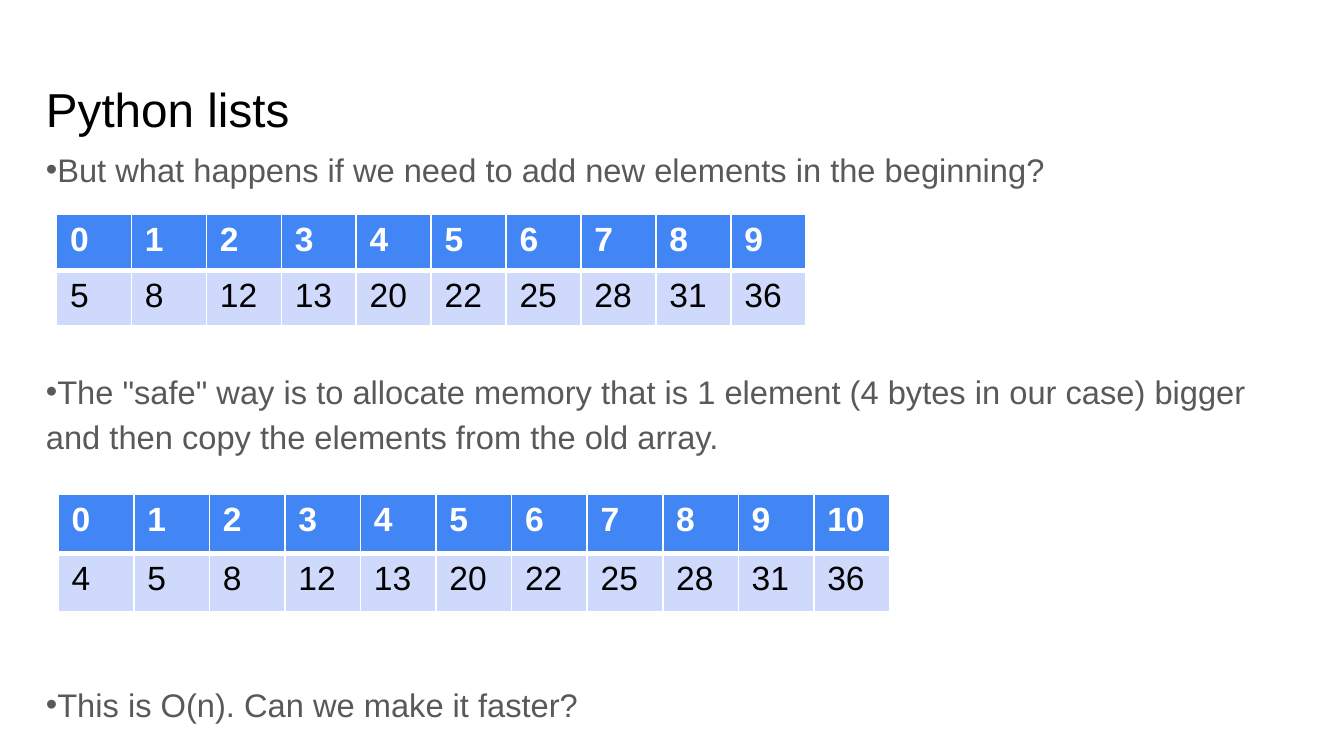
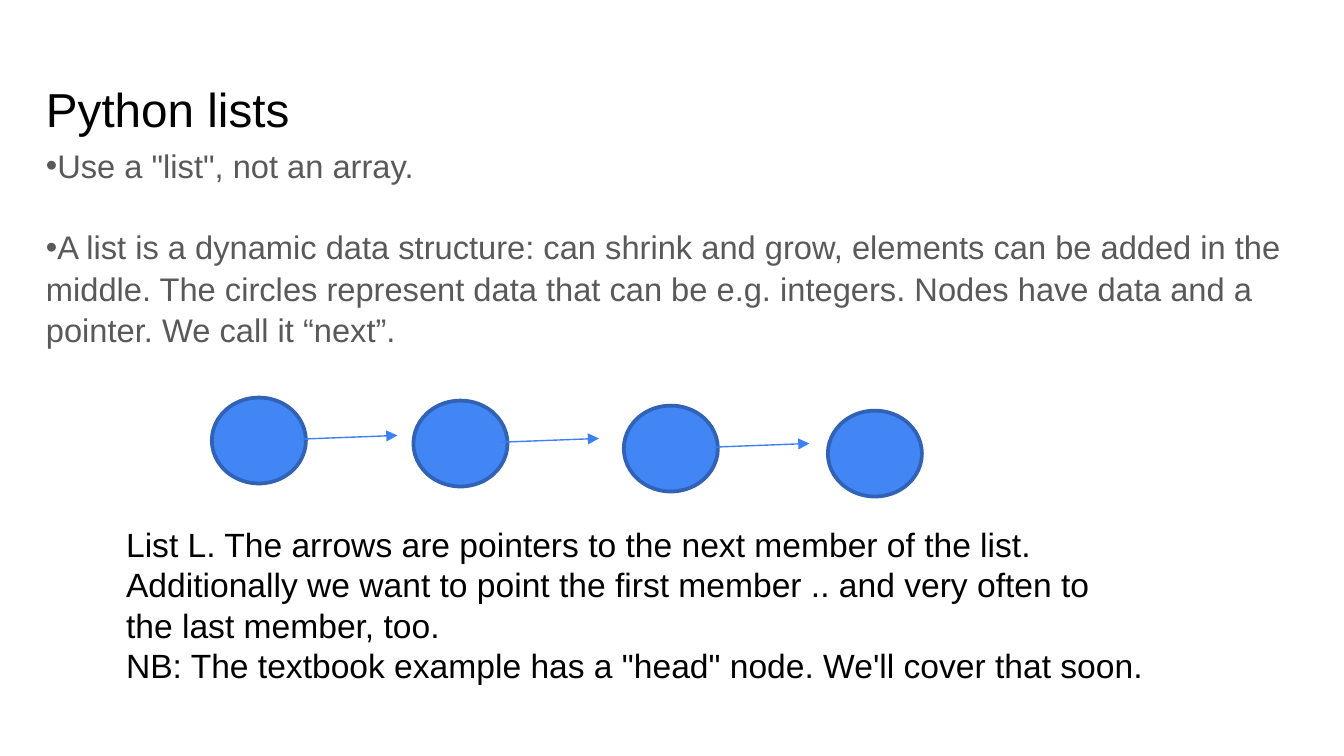
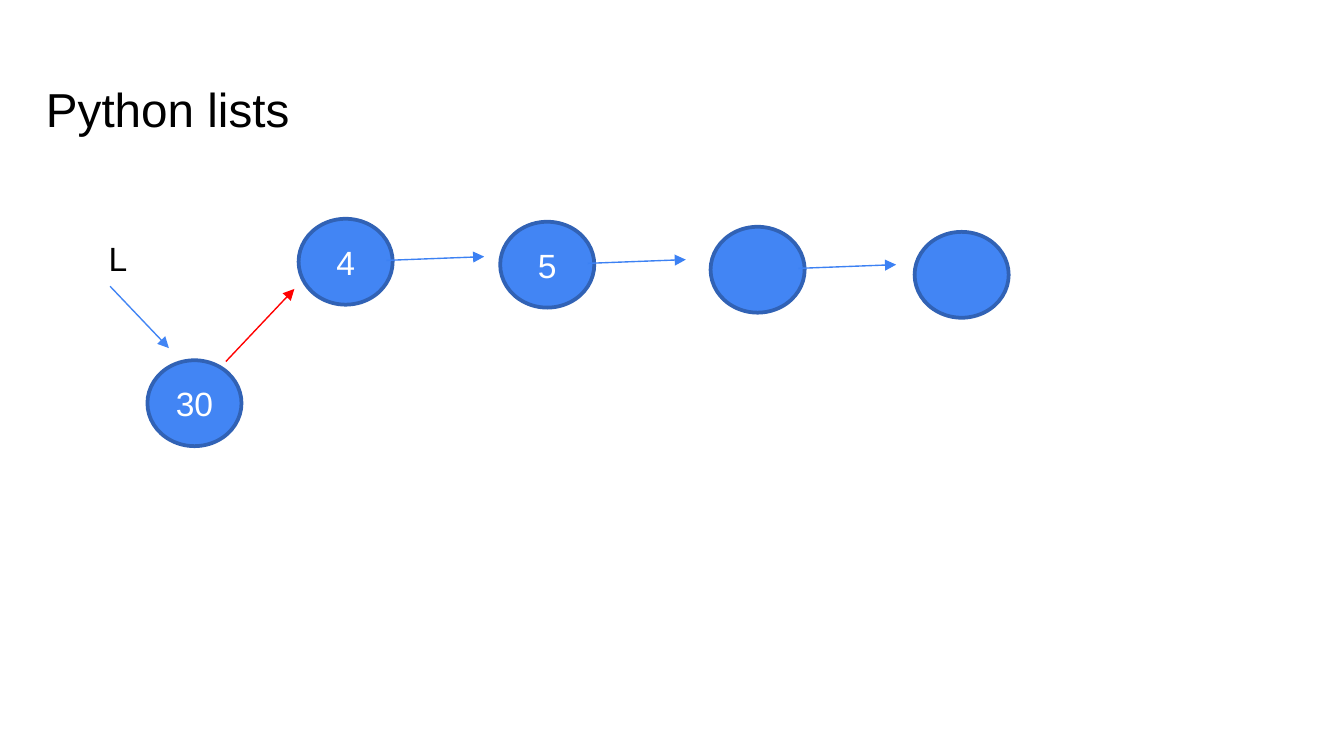
import dataclasses

import lxml.etree
import pptx
import pptx.dml.color
import pptx.enum.shapes
import pptx.enum.text
import pptx.oxml.ns
import pptx.util

Pt = pptx.util.Pt
qn = pptx.oxml.ns.qn
Align = pptx.enum.text.PP_ALIGN
Anchor = pptx.enum.text.MSO_ANCHOR
AutoSize = pptx.enum.text.MSO_AUTO_SIZE


@dataclasses.dataclass(frozen=True)
class Theme:
    font: str = "Arial"
    black: str = "000000"
    white: str = "FFFFFF"
    gray: str = "595959"
    blue: str = "4285F4"
    outline: str = "3162B5"
    link: str = "3C81F3"
    pale: str = "CFD9FB"
    red: str = "FF0000"
    title_size: float = 25.5
    list_size: float = 17.5
    text_size: float = 18


def rgb(value):
    return pptx.dml.color.RGBColor.from_string(value)


class Deck:
    title_layout = 5
    list_layout = 1
    left = 24.6
    node_width = 50.4
    node_height = 46
    node_offsets = ((0, 0), (108, 1.6), (220.7, 4.3), (330, 7))
    arrow_start = (47, 22.3)
    arrow_vector = (52.4, -2)

    def __init__(self, theme):
        self.theme = theme
        self.presentation = pptx.Presentation()
        self.presentation.slide_width = Pt(720)
        self.presentation.slide_height = Pt(405)
        self.slide = None

    def add_slide(self, title, layout):
        layouts = self.presentation.slide_layouts
        self.slide = self.presentation.slides.add_slide(layouts[layout])
        shape = self.slide.shapes.title
        self.place(shape, 35.3, 671, 45.4, Anchor.BOTTOM)
        shape.text_frame.text = title
        paragraph = shape.text_frame.paragraphs[0]
        paragraph.alignment = Align.LEFT
        self.style(paragraph, self.theme.title_size, self.theme.black)

    def place(self, shape, top, width, height, anchor):
        shape.left, shape.top = Pt(self.left), Pt(top)
        shape.width, shape.height = Pt(width), Pt(height)
        frame = shape.text_frame
        frame.margin_left = frame.margin_right = 0
        frame.margin_top = frame.margin_bottom = Pt(7.2)
        frame.vertical_anchor = anchor
        frame.word_wrap = True
        frame.auto_size = AutoSize.NONE

    def style(self, paragraph, size, color, bold=False):
        for run in paragraph.runs:
            run.font.name = self.theme.font
            run.font.size = Pt(size)
            run.font.bold = bold
            run.font.color.rgb = rgb(color)

    def add_list(self, items, width, height, line_spacing):
        shape = self.slide.placeholders[1]
        self.place(shape, 69.8, width, height, Anchor.TOP)
        shape.text_frame.text = "\n".join(text for text, _ in items)
        for paragraph, (_, gap) in zip(shape.text_frame.paragraphs, items):
            paragraph.line_spacing = line_spacing
            paragraph.space_before = Pt(gap)
            properties = paragraph._p.get_or_add_pPr()
            properties.set("marL", "0")
            properties.set("indent", "0")
            self.style(paragraph, self.theme.list_size, self.theme.gray)

    def add_text(self, text, left, top, width, height):
        shape = self.slide.shapes.add_textbox(Pt(left), Pt(top), Pt(width), Pt(height))
        frame = shape.text_frame
        frame.word_wrap = True
        frame.auto_size = AutoSize.SHAPE_TO_FIT_TEXT
        frame.text = text
        for paragraph in frame.paragraphs:
            self.style(paragraph, self.theme.text_size, self.theme.black)

    def add_array(self, values, left, top, column_width, row_height):
        theme = self.theme
        count = len(values)
        table = self.slide.shapes.add_table(
            2, count, Pt(left), Pt(top), Pt(column_width * count), Pt(row_height * 2)
        ).table
        for column in table.columns:
            column.width = Pt(column_width)
        rows = (
            (range(count), theme.blue, theme.white, True, "lnB"),
            (values, theme.pale, theme.black, False, "lnT"),
        )
        for row, (texts, fill, color, bold, thick_side) in enumerate(rows):
            table.rows[row].height = Pt(row_height)
            for column, text in enumerate(texts):
                cell = table.cell(row, column)
                cell.text = str(text)
                self.style(cell.text_frame.paragraphs[0], theme.text_size, color, bold)
                cell.fill.solid()
                cell.fill.fore_color.rgb = rgb(fill)
                self.add_borders(cell, thick_side)

    def add_borders(self, cell, thick_side):
        properties = cell._tc.get_or_add_tcPr()
        for index, side in enumerate(("lnL", "lnR", "lnT", "lnB")):
            width = Pt(3 if side == thick_side else 1)
            line = lxml.etree.Element(qn("a:" + side), w=str(int(width)))
            fill = lxml.etree.SubElement(line, qn("a:solidFill"))
            lxml.etree.SubElement(fill, qn("a:srgbClr"), val=self.theme.white)
            properties.insert(index, line)

    def add_node(self, left, top, label=""):
        shape = self.slide.shapes.add_shape(
            pptx.enum.shapes.MSO_SHAPE.OVAL,
            Pt(left), Pt(top), Pt(self.node_width), Pt(self.node_height),
        )
        shape.shadow.inherit = False
        shape.fill.solid()
        shape.fill.fore_color.rgb = rgb(self.theme.blue)
        shape.line.color.rgb = rgb(self.theme.outline)
        shape.line.width = Pt(2)
        if label:
            shape.text_frame.text = label
            shape.text_frame.vertical_anchor = Anchor.MIDDLE
            paragraph = shape.text_frame.paragraphs[0]
            paragraph.alignment = Align.CENTER
            self.style(paragraph, self.theme.text_size, self.theme.white)

    def add_arrow(self, start, end, color):
        connector = self.slide.shapes.add_connector(
            pptx.enum.shapes.MSO_CONNECTOR.STRAIGHT,
            *(Pt(value) for value in (*start, *end)),
        )
        connector.line.color.rgb = rgb(color)
        connector.line.width = Pt(0.75)
        line = connector.line._get_or_add_ln()
        lxml.etree.SubElement(line, qn("a:tailEnd"), type="triangle")
        lxml.etree.SubElement(connector._element.spPr, qn("a:effectLst"))

    def add_chain(self, left, top, labels):
        last = len(labels) - 1
        for index, (label, (x, y)) in enumerate(zip(labels, self.node_offsets)):
            node_left, node_top = left + x, top + y
            self.add_node(node_left, node_top, label)
            if index < last:
                start = (node_left + self.arrow_start[0], node_top + self.arrow_start[1])
                end = (start[0] + self.arrow_vector[0], start[1] + self.arrow_vector[1])
                self.add_arrow(start, end, self.theme.link)


def main():
    theme = Theme()
    deck = Deck(theme)
    title = "Python lists"
    numbers = [5, 8, 12, 13, 20, 22, 25, 28, 31, 36]

    deck.add_slide(title, deck.list_layout)
    deck.add_list(
        (
            ("But what happens if we need to add new elements in the beginning?", 10),
            ('The "safe" way is to allocate memory that is 1 element (4 bytes in our case) '
             "bigger and then copy the elements from the old array.", 95),
            ("This is O(n). Can we make it faster?", 119.5),
        ),
        677, 324.7, 1.15,
    )
    deck.add_array(numbers, 30.3, 114.8, 40.15, 30)
    deck.add_array([4] + numbers, 31.2, 264.9, 40.5, 31.5)

    deck.add_slide(title, deck.list_layout)
    deck.add_list(
        (
            ('Use a "list", not an array.', 10),
            ("A list is a dynamic data structure: can shrink and grow, elements can be "
             "added in the middle. The circles represent data that can be e.g. integers. "
             "Nodes have data and a pointer. We call it “next”.", 21.7),
        ),
        667, 128, 1.05,
    )
    deck.add_chain(113.5, 213, ("", "", "", ""))
    deck.add_text(
        "List L. The arrows are pointers to the next member of the list. Additionally "
        "we want to point the first member .. and very often to the last member, too.\n"
        'NB: The textbook example has a "head" node. We\'ll cover that soon.',
        60.5, 277.2, 559.4, 94.3,
    )

    deck.add_slide(title, deck.title_layout)
    deck.add_chain(160, 117.2, ("4", "5", "", ""))
    deck.add_text("L", 51.1, 123.8, 53.3, 29)
    deck.add_arrow((121, 193.7), (157.7, 154.8), theme.red)
    deck.add_node(79, 193, "30")
    deck.add_arrow((59, 153.4), (90.5, 186.5), theme.blue)

    deck.presentation.save("out.pptx")


if __name__ == "__main__":
    main()
